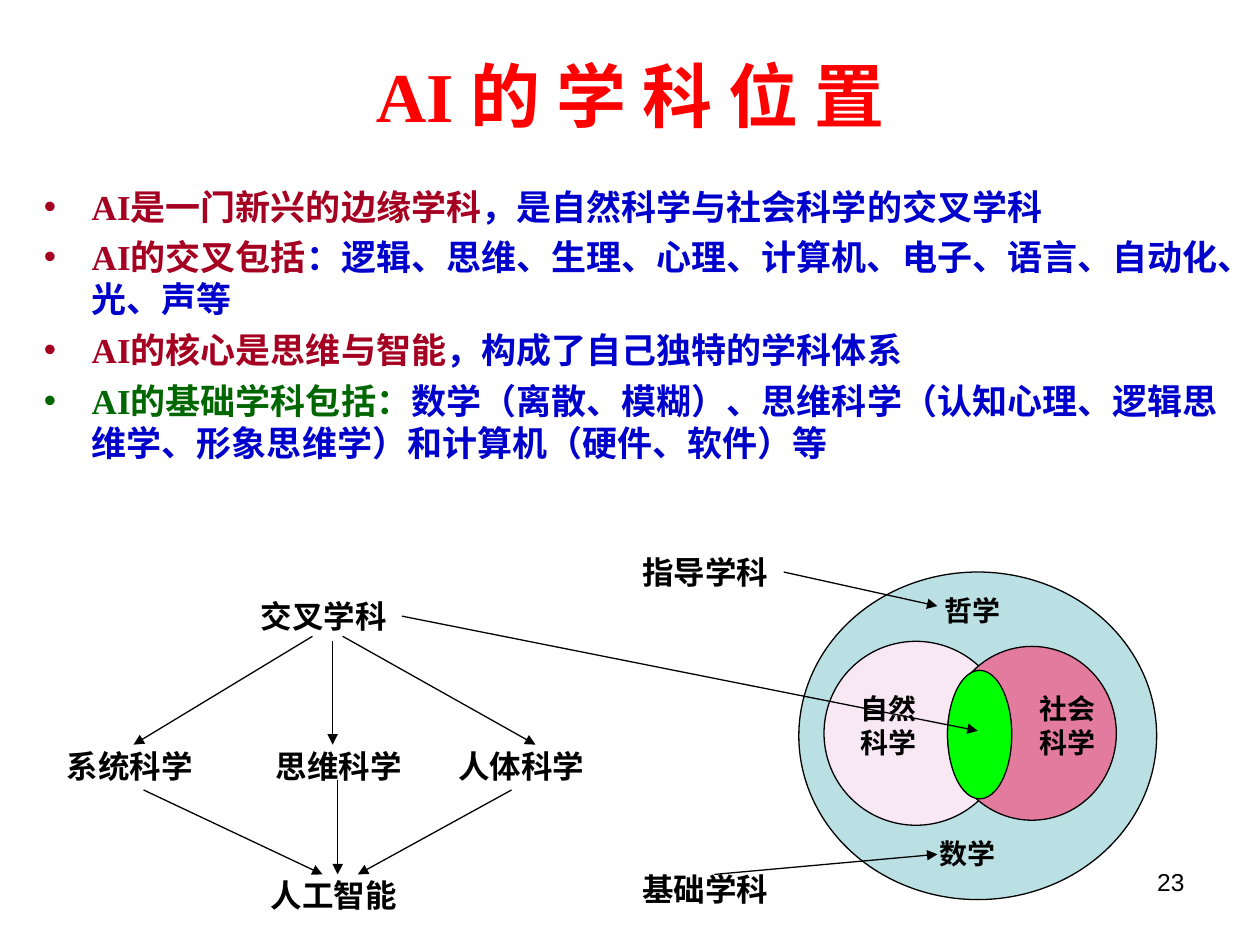
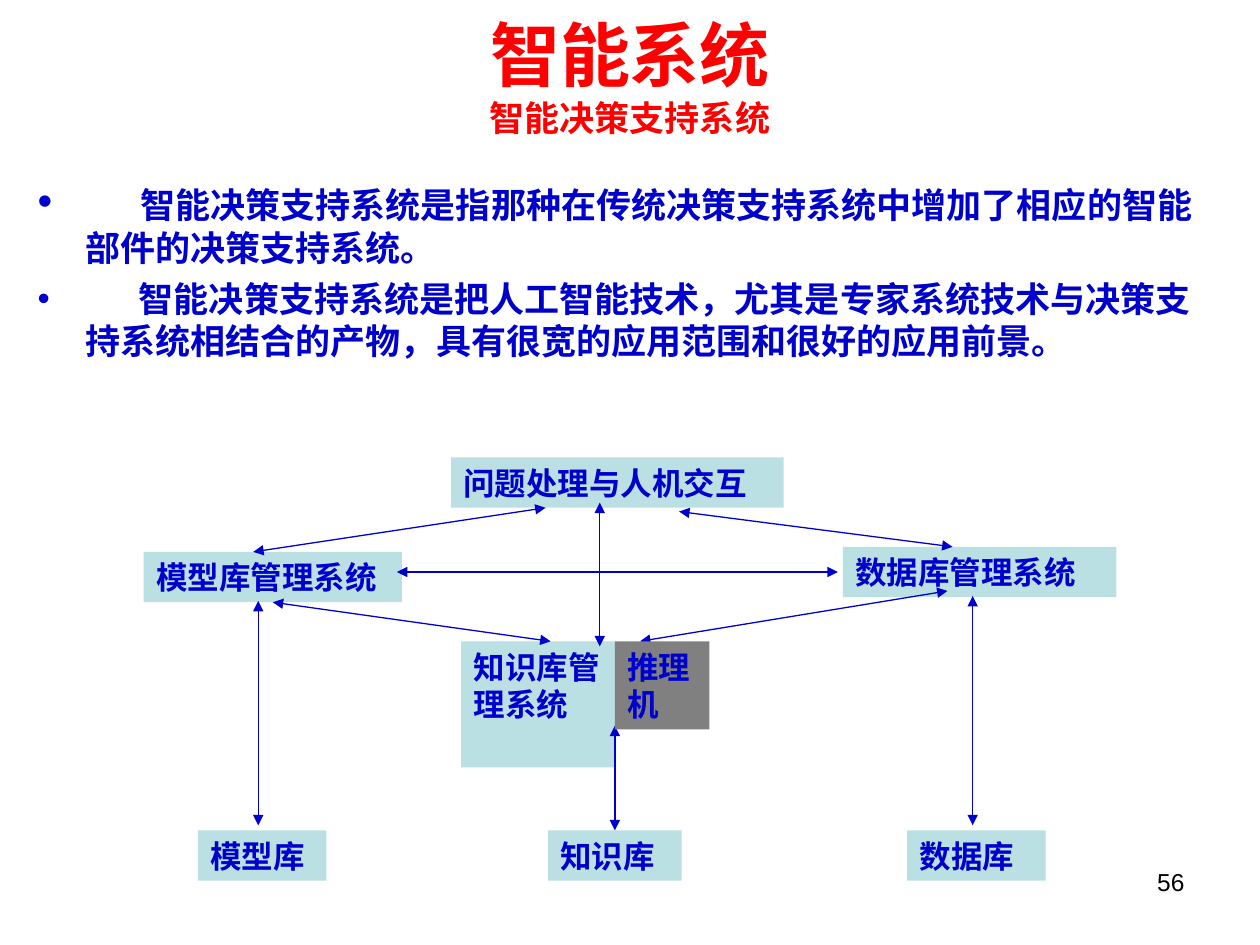
from dataclasses import dataclass

from lxml import etree
from pptx import Presentation
from pptx.dml.color import RGBColor
from pptx.enum import shapes, text
from pptx.oxml import ns
from pptx.util import Inches, Pt


@dataclass(frozen=True)
class Theme:
    red: str = "FF0000"
    crimson: str = "A50021"
    green: str = "006600"
    blue: str = "0000CC"
    black: str = "000000"
    teal: str = "BBE0E3"
    pale_pink: str = "F8E8F3"
    rose: str = "E37B9E"
    lime: str = "00FF00"
    gray: str = "808080"
    serif: str = "Times New Roman"
    sans: str = "Arial"
    title_size: int = 40
    lead_size: int = 24
    body_size: int = 20
    label_size: int = 18
    small_size: int = 16
    number_size: int = 14
    line_width: float = 0.75
    body_gap: int = 5
    label_gap: int = 11
    bullet_indent: float = 0.38
    first_line_gap: int = 26


T = Theme()
LABEL_HEIGHT = 0.4
DEFAULT_INSETS = (0.1, 0.05)
TIGHT_INSETS = (0.02, 0.01)


def sub(parent, tag, **attrs):
    return etree.SubElement(parent, ns.qn(tag), **attrs)


def add_run(p, content, size, color, font=T.sans, bold=True, spacing=None):
    r = p.add_run()
    r.text = content
    r.font.size, r.font.bold, r.font.name = Pt(size), bold, font
    r.font.color.rgb = RGBColor.from_string(color)
    if spacing:
        r.font._element.set("spc", str(spacing * 100))


def set_frame(sp, insets=DEFAULT_INSETS, anchor=text.MSO_ANCHOR.TOP):
    tf = sp.text_frame
    tf.word_wrap = True
    tf.auto_size = text.MSO_AUTO_SIZE.NONE
    tf.vertical_anchor = anchor
    tf.margin_left = tf.margin_right = Inches(insets[0])
    tf.margin_top = tf.margin_bottom = Inches(insets[1])
    return tf


def write(sp, content, size=T.label_size, color=T.black, bold=True, gap=0,
          align=text.PP_ALIGN.LEFT, insets=DEFAULT_INSETS):
    """Fill a shape with one paragraph per line of content."""
    tf = set_frame(sp, insets)
    for i, line in enumerate(content.split("\n")):
        p = tf.paragraphs[0] if i == 0 else tf.add_paragraph()
        p.alignment = align
        p.space_before = Pt(gap)
        add_run(p, line, size, color, bold=bold)


def add_box(slide, box):
    return slide.shapes.add_textbox(*map(Inches, box))


def add_label(slide, content, box, **fmt):
    write(add_box(slide, box), content, **fmt)


def add_title(slide, box, title, subtitle=None):
    tf = set_frame(add_box(slide, box), anchor=text.MSO_ANCHOR.MIDDLE)
    p = tf.paragraphs[0]
    p.alignment = text.PP_ALIGN.CENTER
    add_run(p, title, T.title_size, T.red, T.serif)
    if subtitle:
        p.add_line_break()
        add_run(p, subtitle, T.body_size, T.red, T.serif)


def add_page_number(slide, number):
    add_label(slide, str(number), (7.17, 6.83, 2.33, 0.52), size=T.number_size,
              bold=False, align=text.PP_ALIGN.RIGHT)


def add_bullet(tf, first, color):
    p = tf.paragraphs[0] if first else tf.add_paragraph()
    p.space_before = Pt(T.body_gap)
    pPr = p._p.get_or_add_pPr()
    pPr.set("marL", str(Inches(T.bullet_indent)))
    pPr.set("indent", str(-Inches(T.bullet_indent)))
    sub(sub(pPr, "a:buClr"), "a:srgbClr", val=color)
    sub(pPr, "a:buFont", typeface=T.sans)
    sub(pPr, "a:buChar", char="•")
    return p


def add_filled(slide, kind, box, fill, line=None):
    sp = slide.shapes.add_shape(kind, *map(Inches, box))
    sp.shadow.inherit = False
    sp.fill.solid()
    sp.fill.fore_color.rgb = RGBColor.from_string(fill)
    if line:
        sp.line.color.rgb = RGBColor.from_string(line)
        sp.line.width = Pt(T.line_width)
    else:
        sp.line.fill.background()
    return sp


def add_block(slide, content, box, fill=T.teal, gap=T.label_gap):
    sp = add_filled(slide, shapes.MSO_SHAPE.RECTANGLE, box, fill)
    write(sp, content, color=T.blue, gap=gap)
    return sp


def add_arrow(slide, start, end, color=T.black, both=False):
    cxn = slide.shapes.add_connector(shapes.MSO_CONNECTOR.STRAIGHT,
                                     *map(Inches, start + end))
    cxn.line.color.rgb = RGBColor.from_string(color)
    cxn.line.width = Pt(T.line_width)
    ln = cxn.line._get_or_add_ln()
    if both:
        sub(ln, "a:headEnd", type="triangle")
    sub(ln, "a:tailEnd", type="triangle")
    sub(cxn._element.spPr, "a:effectLst")
    return cxn


def build_discipline_slide(slide):
    add_page_number(slide, 23)
    add_title(slide, (0.5, 0.3, 9, 0.9), "AI 的 学 科 位 置")

    points = [
        ("AI是一门新兴的边缘学科", "，是自然科学与社会科学的交叉学科", T.crimson),
        ("AI的交叉包括",
         "：逻辑、思维、生理、心理、计算机、电子、语言、自动化、光、声等", T.crimson),
        ("AI的核心是思维与智能", "，构成了自己独特的学科体系", T.crimson),
        ("AI的基础学科包括：",
         "数学（离散、模糊）、思维科学（认知心理、逻辑思维学、形象思维学）"
         "和计算机（硬件、软件）等", T.green),
    ]
    tf = set_frame(add_box(slide, (0.25, 1.42, 9.53, 5.87)))
    for i, (topic, detail, color) in enumerate(points):
        p = add_bullet(tf, i == 0, color)
        add_run(p, topic, T.body_size, color, T.serif)
        add_run(p, detail, T.body_size, T.blue, T.serif)

    venn = [
        ((6.34, 4.54, 2.84, 2.6), T.teal),
        ((6.54, 5.09, 1.46, 1.46), T.pale_pink),
        ((7.52, 5.13, 1.34, 1.38), T.rose),
        ((7.52, 5.32, 0.51, 1.02), T.lime),
    ]
    for box, fill in venn:
        add_filled(slide, shapes.MSO_SHAPE.OVAL, box, fill, T.black)
    for content, left in (("自然科学", 6.81), ("社会科学", 8.23)):
        add_label(slide, content, (left, 5.48, 0.55, 0.56), size=T.small_size,
                  gap=10, insets=TIGHT_INSETS)
    for content, left, top in (("哲学", 7.4, 4.66), ("数学", 7.36, 6.59)):
        add_label(slide, content, (left, top, 0.75, 0.37), size=T.small_size, gap=10)

    disciplines = [
        ("交叉学科", 1.97, 4.69),
        ("系统科学", 0.43, 5.88),
        ("思维科学", 2.09, 5.88),
        ("人体科学", 3.54, 5.88),
        ("人工智能", 2.05, 6.9),
        ("基础学科", 5, 6.86),
        ("指导学科", 5, 4.34),
    ]
    for content, left, top in disciplines:
        add_label(slide, content, (left, top, 1.3, LABEL_HEIGHT), gap=T.label_gap)

    arrows = [
        ((2.48, 5.05), (1.06, 5.91)),
        ((2.64, 5.09), (2.64, 5.91)),
        ((2.72, 5.05), (4.25, 5.91)),
        ((1.14, 6.27), (2.56, 6.94)),
        ((2.68, 6.19), (2.68, 6.94)),
        ((4.06, 6.27), (2.84, 6.94)),
        ((3.19, 4.89), (7.76, 5.8)),
        ((6.22, 4.54), (7.44, 4.81)),
        ((5.67, 6.94), (7.44, 6.78)),
    ]
    for start, end in arrows:
        add_arrow(slide, start, end)


def build_decision_support_slide(slide):
    add_page_number(slide, 56)
    add_title(slide, (0.33, 0, 9.34, 1.19), "智能系统", "智能决策支持系统")

    points = [
        ("智能决策支持系统是指那种在传统决策支持系统中增加了相应的智能部件的决策支持系统。",
         T.lead_size),
        ("智能决策支持系统是把人工智能技术，尤其是专家系统技术与决策支持系统相结合的产物，"
         "具有很宽的应用范围和很好的应用前景。", T.body_size),
    ]
    tf = set_frame(add_box(slide, (0.2, 1.35, 9.61, 6.15)))
    for i, (content, bullet_size) in enumerate(points):
        p = add_bullet(tf, i == 0, T.blue)
        add_run(p, " ", bullet_size, T.blue, spacing=T.first_line_gap)
        add_run(p, content, T.body_size, T.blue)

    blocks = [
        ("问题处理与人机交互", 3.58, 3.63, 2.64),
        ("模型库管理系统", 1.14, 4.38, 2.05),
        ("数据库管理系统", 6.69, 4.34, 2.17),
        ("模型库", 1.57, 6.59, 1.02),
        ("知识库", 4.35, 6.59, 1.06),
        ("数据库", 7.2, 6.59, 1.1),
    ]
    block = {content: add_block(slide, content, (left, top, width, LABEL_HEIGHT))
             for content, left, top, width in blocks}
    add_block(slide, "知识库管\n理系统", (3.66, 5.09, 1.22, 1), gap=0)

    links = [
        ((4.76, 3.99), (4.76, 5.13)),
        ((5.39, 4.06), (7.56, 4.34)),
        ((2.01, 4.38), (4.33, 4.03)),
        ((3.15, 4.54), (6.65, 4.54)),
        ((2.05, 4.77), (2.05, 6.55)),
        ((7.52, 4.69), (5.08, 5.09)),
        ((7.72, 4.73), (7.72, 6.55)),
    ]
    for start, end in links:
        add_arrow(slide, start, end, T.blue, both=True)
    knowledge_link = add_arrow(slide, (4.88, 5.76), (4.88, 6.59), T.blue, both=True)
    knowledge_link.end_connect(block["知识库"], 0)
    model_link = add_arrow(slide, (2.16, 4.78), (4.37, 5.09), T.blue, both=True)
    model_link.begin_connect(block["模型库管理系统"], 2)

    add_block(slide, "推理机", (4.88, 5.09, 0.75, 0.7), T.gray, gap=0)


def main():
    prs = Presentation()
    prs.slide_width, prs.slide_height = Inches(10), Inches(7.5)
    for build in (build_discipline_slide, build_decision_support_slide):
        build(prs.slides.add_slide(prs.slide_layouts[6]))
    prs.save("out.pptx")


if __name__ == "__main__":
    main()
